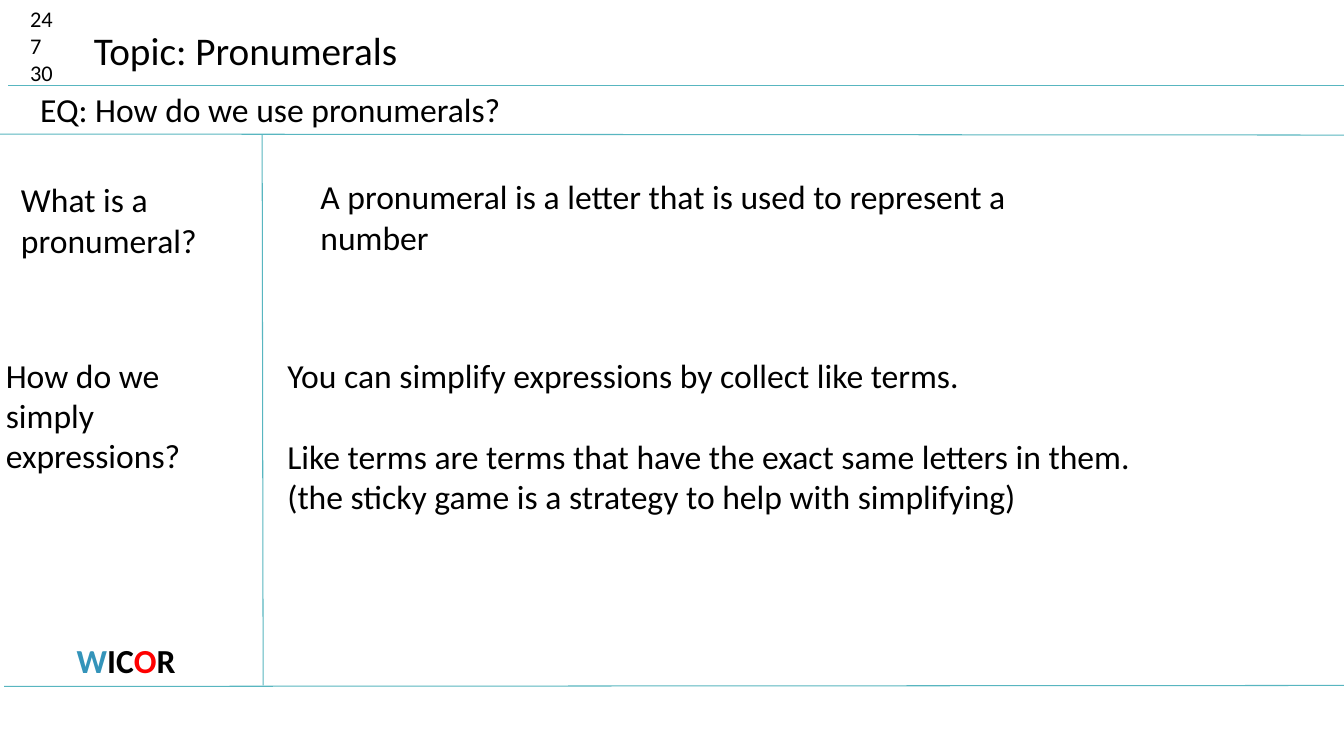
"""Build a two-column study-notes slide about pronumerals."""
from dataclasses import dataclass

import lxml.etree
import pptx
import pptx.dml.color
import pptx.enum.shapes
import pptx.enum.text
import pptx.oxml.ns
import pptx.util

Inches = pptx.util.Inches
ALIGN = pptx.enum.text.PP_ALIGN


@dataclass(frozen=True)
class Theme:
    font: str = "Calibri"
    text: str = "000000"
    rule: str = "58B6C0"
    blue: str = "3494BA"
    red: str = "FF0000"
    small: int = 16
    body: int = 24
    title: int = 28
    rule_width: float = 0.75


THEME = Theme()


@dataclass(frozen=True)
class Rule:
    start: tuple[float, float]
    end: tuple[float, float]


@dataclass(frozen=True)
class Line:
    runs: tuple[tuple[str, str], ...]
    space_before: float = 0


@dataclass(frozen=True)
class Note:
    box: tuple[float, float, float, float]
    lines: tuple[Line, ...]
    size: int = THEME.body
    bold: bool = False
    alignment: ALIGN = ALIGN.LEFT


def plain(text: str, space_before: float = 0) -> Line:
    """Return a line in the ordinary text colour."""
    return Line(((text, THEME.text),), space_before)


RULES = (
    Rule((0.08, 0.85), (13.33, 0.85)),
    Rule((0, 1.33), (13.33, 1.34)),
    Rule((2.6, 1.34), (2.61, 6.8)),
    Rule((0.04, 6.81), (13.37, 6.8)),
)
TOPIC = Note((0.83, 0.21, 3.6, 0.57), (plain("Topic: Pronumerals"),), THEME.title)
SIMPLIFYING = Note(
    (2.75, 3.47, 10.03, 1.72),
    (
        plain("You can simplify expressions by collect like terms."),
        plain("Like terms are terms that have the exact same letters in them.", 29),
        plain("(the sticky game is a strategy to help with simplifying)"),
    ),
)
NOTES = (
    Note((0.2, 0, 0.63, 0.91), (plain("24"), plain("7"), plain("30")), THEME.small),
    Note((0.3, 0.83, 11.64, 0.5), (plain("EQ: How do we use pronumerals?"),)),
    Note((0.11, 1.73, 2.35, 0.91), (plain("What is a pronumeral?"),)),
    Note(
        (3.08, 1.7, 8.03, 0.91),
        (plain("A pronumeral is a letter that is used to represent a number"),),
    ),
    Note((-0.04, 3.47, 2.67, 1.31), (plain("How do we simply expressions?"),)),
    Note(
        (0.14, 6.3, 2.22, 0.5),
        (
            Line(
                (
                    ("W", THEME.blue),
                    ("IC", THEME.text),
                    ("O", THEME.red),
                    ("R", THEME.text),
                )
            ),
        ),
        bold=True,
        alignment=ALIGN.CENTER,
    ),
)


def draw_rule(slide: pptx.slide.Slide, rule: Rule) -> None:
    """Draw one thin ruled line without a shadow."""
    connector = slide.shapes.add_connector(
        pptx.enum.shapes.MSO_CONNECTOR.STRAIGHT,
        *(Inches(length) for length in rule.start + rule.end),
    )
    connector.line.color.rgb = pptx.dml.color.RGBColor.from_string(THEME.rule)
    connector.line.width = pptx.util.Pt(THEME.rule_width)
    properties = connector.element.spPr
    lxml.etree.SubElement(properties, pptx.oxml.ns.qn("a:effectLst"))


def write_note(shape: pptx.shapes.autoshape.Shape, note: Note) -> None:
    """Place a text shape and fill it with the lines of a note."""
    shape.left, shape.top, shape.width, shape.height = map(Inches, note.box)
    frame = shape.text_frame
    frame.word_wrap = True
    frame.auto_size = pptx.enum.text.MSO_AUTO_SIZE.NONE
    frame.vertical_anchor = pptx.enum.text.MSO_ANCHOR.TOP
    for index, line in enumerate(note.lines):
        paragraph = frame.add_paragraph() if index else frame.paragraphs[0]
        paragraph.alignment = note.alignment
        paragraph.line_spacing = 1.0
        paragraph.space_before = pptx.util.Pt(line.space_before)
        if shape.is_placeholder:
            properties = paragraph._p.get_or_add_pPr()
            properties.set("marL", "0")
            properties.set("indent", "0")
            lxml.etree.SubElement(properties, pptx.oxml.ns.qn("a:buNone"))
        paragraph.font.name = THEME.font
        paragraph.font.size = pptx.util.Pt(note.size)
        paragraph.font.bold = note.bold
        for text, color in line.runs:
            run = paragraph.add_run()
            run.text = text
            run.font.color.rgb = pptx.dml.color.RGBColor.from_string(color)


def main() -> None:
    """Build and save the slide."""
    presentation = pptx.Presentation()
    presentation.slide_width = Inches(13.33)
    presentation.slide_height = Inches(7.5)
    slide = presentation.slides.add_slide(presentation.slide_layouts[1])
    for rule in RULES:
        draw_rule(slide, rule)
    write_note(slide.shapes.title, TOPIC)
    write_note(slide.placeholders[1], SIMPLIFYING)
    for note in NOTES:
        write_note(slide.shapes.add_textbox(0, 0, 0, 0), note)
    presentation.save("out.pptx")


if __name__ == "__main__":
    main()
